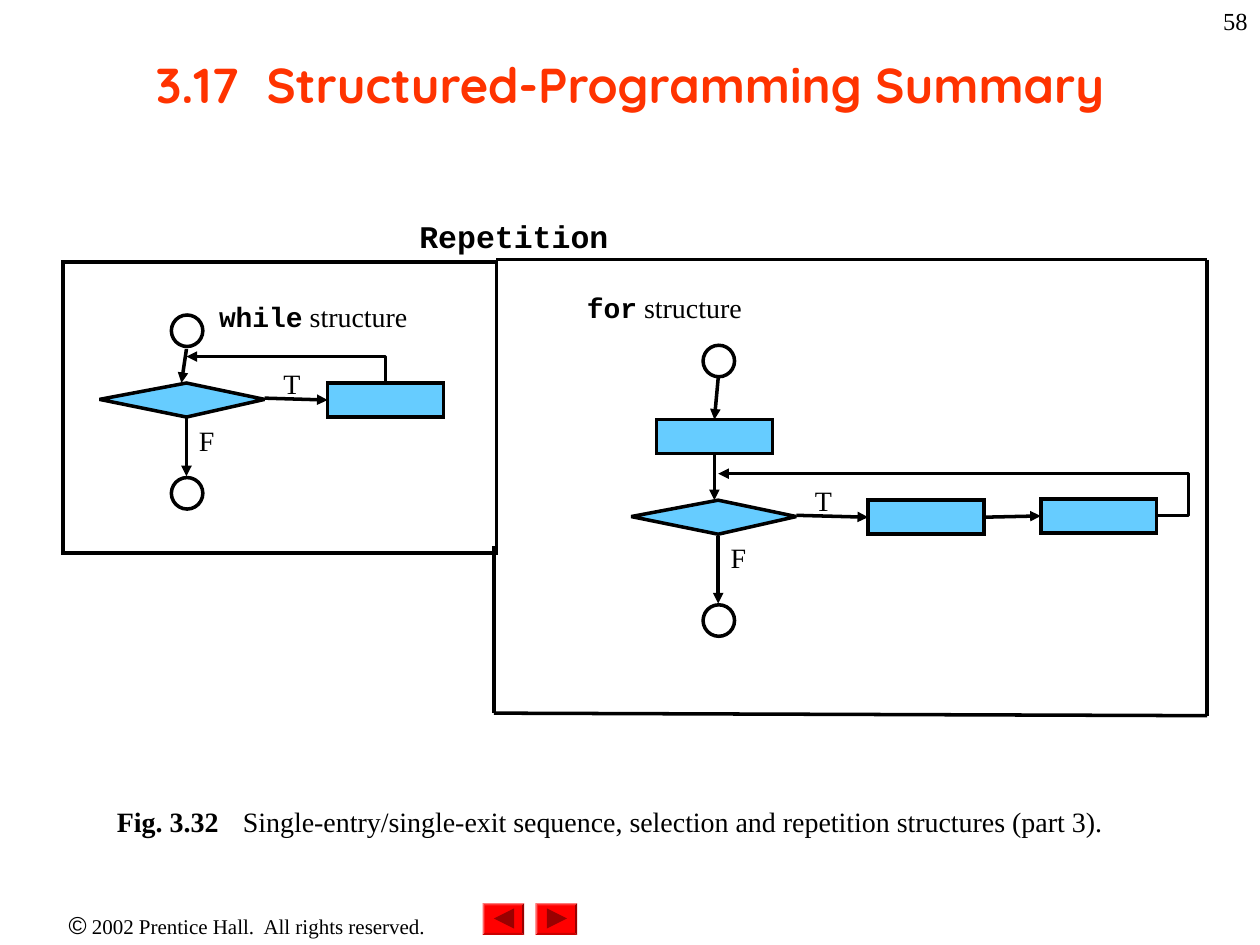
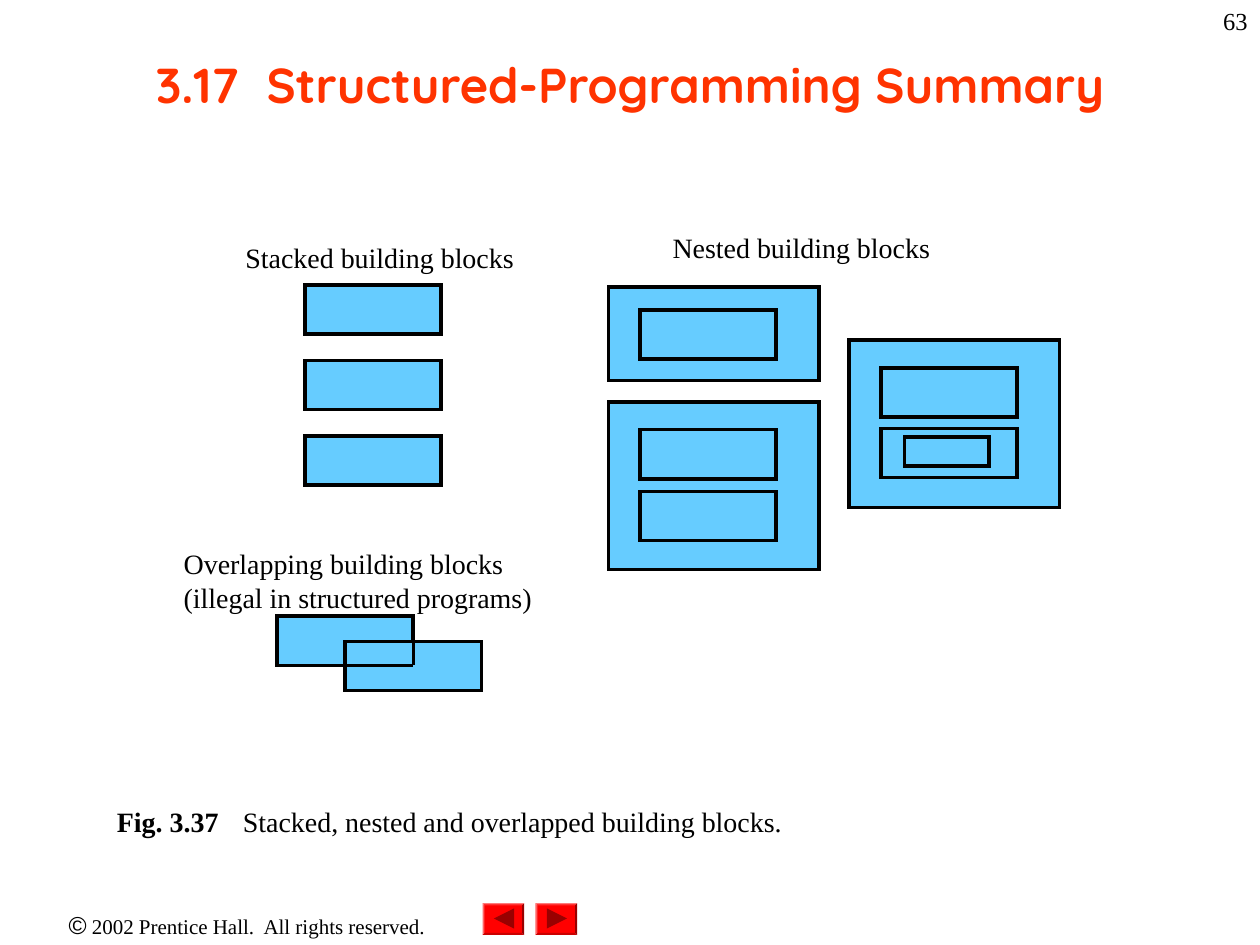
from collections import namedtuple
from itertools import pairwise

from lxml import etree
from pptx import Presentation
from pptx.dml.color import RGBColor
from pptx.enum.shapes import MSO_CONNECTOR, MSO_SHAPE
from pptx.enum.text import MSO_ANCHOR, PP_ALIGN
from pptx.oxml.ns import qn
from pptx.util import Emu, Pt

PX = 9144  # 100 px to the inch
BLACK = RGBColor(0x00, 0x00, 0x00)
BLOCK_BLUE = RGBColor(0x66, 0xCC, 0xFF)
TITLE_ORANGE = RGBColor(0xFF, 0x33, 0x00)
BUTTON_RED = RGBColor(0xFF, 0x00, 0x00)
BUTTON_DARK = RGBColor(0x99, 0x00, 0x00)

SERIF, MONO, SANS, TITLE_FONT = "Times New Roman", "Courier New", "Arial", "Quicksand"
STRAIGHT, ELBOW = MSO_CONNECTOR.STRAIGHT, MSO_CONNECTOR.ELBOW
RECTANGLE, OVAL = MSO_SHAPE.RECTANGLE, MSO_SHAPE.OVAL
BEVEL, TRIANGLE = MSO_SHAPE.BEVEL, MSO_SHAPE.ISOSCELES_TRIANGLE
LEFT, CENTER, RIGHT = PP_ALIGN.LEFT, PP_ALIGN.CENTER, PP_ALIGN.RIGHT
MIDDLE = MSO_ANCHOR.MIDDLE
TOP_SIDE, LEFT_SIDE, BOTTOM_SIDE, RIGHT_SIDE = range(4)

TITLE_ONLY_LAYOUT = 5
LINE_WIDTH = Pt(2)
CIRCLE = 25
STEP_SIZE = (92, 27)
BLOCK_SIZE = (108, 39)

Span = namedtuple("Span", "text font size bold", defaults=(SERIF, 16, False))


def px(*lengths):
    return [Emu(length * PX) for length in lengths]


# Basic parts
def format_run(run, font, size, bold, color=BLACK):
    run.font.name = font
    run.font.size = Pt(size)
    run.font.bold = bold
    run.font.color.rgb = color


def add_text(page, box, spans, align=LEFT, tab=None):
    frame = page.shapes.add_textbox(*px(*box)).text_frame
    frame.word_wrap = True
    para = frame.paragraphs[0]
    para.alignment = align
    if tab:
        stops = etree.SubElement(para._p.get_or_add_pPr(), qn("a:tabLst"))
        etree.SubElement(stops, qn("a:tab"), pos=str(tab * PX), algn="l")
    for span in spans:
        run = para.add_run()
        run.text = span.text
        format_run(run, span.font, span.size, span.bold)


def paint(shape, fill=None, outlined=True):
    shape.shadow.inherit = False
    if fill is None:
        shape.fill.background()
    else:
        shape.fill.solid()
        shape.fill.fore_color.rgb = fill
    if outlined:
        shape.line.color.rgb = BLACK
        shape.line.width = LINE_WIDTH
        etree.SubElement(shape.line._get_or_add_ln(), qn("a:miter"), lim="800000")
    else:
        shape.line.fill.background()
    return shape


def add_shape(page, kind, box, fill=None, outlined=True):
    return paint(page.shapes.add_shape(kind, *px(*box)), fill, outlined)


def add_line(page, start, end, kind=STRAIGHT, arrow=None):
    line = page.shapes.add_connector(kind, *px(*start, *end))
    line.line.color.rgb = BLACK
    line.line.width = LINE_WIDTH
    if arrow:
        etree.SubElement(line.line._get_or_add_ln(), qn(arrow), type="triangle")
    etree.SubElement(line._element.spPr, qn("a:effectLst"))
    return line


def add_arrow(page, start, end):
    return add_line(page, start, end, arrow="a:tailEnd")


def add_loop_back(page, tip, start, preset, bend=None):
    """Elbow whose arrowhead is at the tip; bend is in percent of its width."""
    loop = add_line(page, tip, start, ELBOW, "a:headEnd")
    geometry = loop._element.spPr.find(qn("a:prstGeom"))
    geometry.set("prst", preset)
    if bend:
        values = geometry.find(qn("a:avLst"))
        if values is None:
            values = etree.SubElement(geometry, qn("a:avLst"))
        etree.SubElement(values, qn("a:gd"), name="adj1", fmla=f"val {bend * 1000}")


# Page frame
def draw_button(page, left, top, rotation):
    button = add_shape(page, BEVEL, (left, top, 33, 25), BUTTON_RED, outlined=False)
    button.adjustments[0] = 0.06
    pointer = add_shape(page, TRIANGLE, (left + 9, top + 4, 16, 16), BUTTON_DARK, outlined=False)
    pointer.rotation = rotation


def draw_footer(page, left, top):
    copyright_line = [
        Span("©", SANS, 14),
        Span(" 2002 Prentice Hall.  All rights reserved.", size=12),
    ]
    add_text(page, (left, top, 392, 34), copyright_line, CENTER)
    draw_button(page, left + 383, top, 270)
    draw_button(page, left + 425, top, 90)


def add_page(deck, number, figure, caption):
    page = deck.slides.add_slide(deck.slide_layouts[TITLE_ONLY_LAYOUT])
    title = page.shapes.title
    title.left, title.top, title.width, title.height = px(75, 8, 850, 117)
    title.text_frame.text = "3.17  Structured-Programming Summary"
    title.text_frame.vertical_anchor = MIDDLE
    para = title.text_frame.paragraphs[0]
    para.alignment = CENTER
    format_run(para.runs[0], TITLE_FONT, 28, True, TITLE_ORANGE)

    add_text(page, (792, 0, 208, 50), [Span(number, size=14)], RIGHT)
    caption_spans = [Span(figure + "\t", bold=True), Span(caption)]
    add_text(page, (83, 634, 867, 37), caption_spans, tab=100)
    draw_footer(page, 0, 717)
    return page


# Flowchart parts
def draw_circle(page, left, top):
    add_shape(page, OVAL, (left, top, CIRCLE, CIRCLE))


def draw_step(page, left, top):
    return add_shape(page, RECTANGLE, (left, top, *STEP_SIZE), BLOCK_BLUE)


def draw_structure_label(page, left, top, keyword):
    spans = [Span(keyword, MONO, bold=True), Span(" structure")]
    add_text(page, (left, top, 190, 37), spans)


def draw_test(page, left, top, body, exit_gap):
    """Decision with its T arrow to the body and its F arrow to the exit."""
    outline = page.shapes.build_freeform(left, top + 13, scale=PX)
    corners = [(69, 0), (131, 13), (69, 27)]
    outline.add_line_segments([(left + x, top + y) for x, y in corners])
    paint(outline.convert_to_shape(), BLOCK_BLUE)
    draw_circle(page, left + 57, top + exit_gap)
    true_arrow = add_arrow(page, (left + 131, top + 12), (left + 180, top + 13))
    true_arrow.end_connect(body, LEFT_SIDE)
    add_arrow(page, (left + 69, top + 28), (left + 69, top + exit_gap - 1))
    add_text(page, (left + 136, top - 18, 40, 37), [Span("T")])
    add_text(page, (left + 69, top + 27, 40, 37), [Span("F")])


def draw_while_region(page, left, top):
    add_shape(page, RECTANGLE, (left, top, 344, 231))
    draw_structure_label(page, left + 114, top + 25, "while")
    draw_circle(page, left + 86, top + 42)
    add_arrow(page, (left + 98, top + 69), (left + 94, top + 96))
    body = draw_step(page, left + 210, top + 96)
    draw_test(page, left + 29, top + 96, body, exit_gap=75)
    add_loop_back(page, (left + 98, top + 75), (left + 256, top + 94), "bentConnector2")


def draw_for_region(page, left, top):
    # Open frame that meets the while region
    frame = [(2, 0), (566, 0), (566, 362), (0, 360), (0, 227)]
    corners = [(left + x, top + y) for x, y in frame]
    for start, end in pairwise(corners):
        add_line(page, start, end)
    draw_structure_label(page, left + 64, top + 20, "for")

    # Entry, initialization, test, body and increment
    draw_circle(page, left + 166, top + 68)
    first = draw_step(page, left + 129, top + 127)
    body = draw_step(page, left + 297, top + 191)
    increment = draw_step(page, left + 434, top + 190)
    draw_test(page, left + 109, top + 191, body, exit_gap=83)
    entry = add_arrow(page, (left + 178, top + 94), (left + 175, top + 127))
    entry.end_connect(first, TOP_SIDE)
    to_test = add_arrow(page, (left + 175, top + 154), (left + 175, top + 191))
    to_test.begin_connect(first, BOTTOM_SIDE)
    to_increment = add_arrow(page, (left + 389, top + 204), (left + 434, top + 204))
    to_increment.begin_connect(body, RIGHT_SIDE)
    to_increment.end_connect(increment, LEFT_SIDE)
    add_loop_back(page, (left + 178, top + 170), (left + 527, top + 203), "bentConnector3", 107)


# Building blocks
def draw_block(page, left, top, size=BLOCK_SIZE):
    add_shape(page, RECTANGLE, (left, top, *size), BLOCK_BLUE)


def draw_stacked(page, left, top):
    add_text(page, (left, top, 250, 37), [Span("Stacked building blocks")])
    for row in range(3):
        draw_block(page, left + 57, top + 40 + 60 * row)


def draw_overlapping(page, left, top):
    draw_block(page, left + 84, top + 60)
    draw_block(page, left + 138, top + 80)
    # Hidden edges of the block behind
    hidden_corner = (left + 192, top + 99)
    add_line(page, (left + 138, top + 99), hidden_corner)
    add_line(page, (left + 192, top + 80), hidden_corner)
    label = Span("Overlapping building blocks (illegal in structured programs)")
    add_text(page, (left, top, 300, 64), [label])


def draw_nest(page, left, top, height, inner_tops):
    draw_block(page, left, top, (167, height))
    for inner_top in inner_tops:
        draw_block(page, left + 25, top + inner_top)


def draw_nested(page, left, top):
    add_text(page, (left + 41, top, 250, 37), [Span("Nested building blocks")])
    draw_nest(page, left, top + 50, 74, [18])
    draw_nest(page, left, top + 141, 133, [22, 71])
    draw_nest(page, left + 191, top + 92, 133, [22, 70])
    draw_block(page, left + 235, top + 169, (67, 23))


# Slides
def build_repetition_page(deck):
    caption = "Single-entry/single-exit sequence, selection and repetition structures (part 3)."
    page = add_page(deck, "58", "Fig. 3.32", caption)
    add_text(page, (323, 167, 190, 40), [Span("Repetition", MONO, 18, True)])
    draw_while_region(page, 50, 208)
    draw_for_region(page, 392, 206)


def build_blocks_page(deck):
    caption = "Stacked, nested and overlapped building blocks."
    page = add_page(deck, "63", "Fig. 3.37", caption)
    draw_stacked(page, 185, 186)
    draw_overlapping(page, 136, 429)
    draw_nested(page, 483, 178)


def main():
    deck = Presentation()
    deck.slide_width, deck.slide_height = px(1000, 750)
    build_repetition_page(deck)
    build_blocks_page(deck)
    deck.save("out.pptx")


if __name__ == "__main__":
    main()
